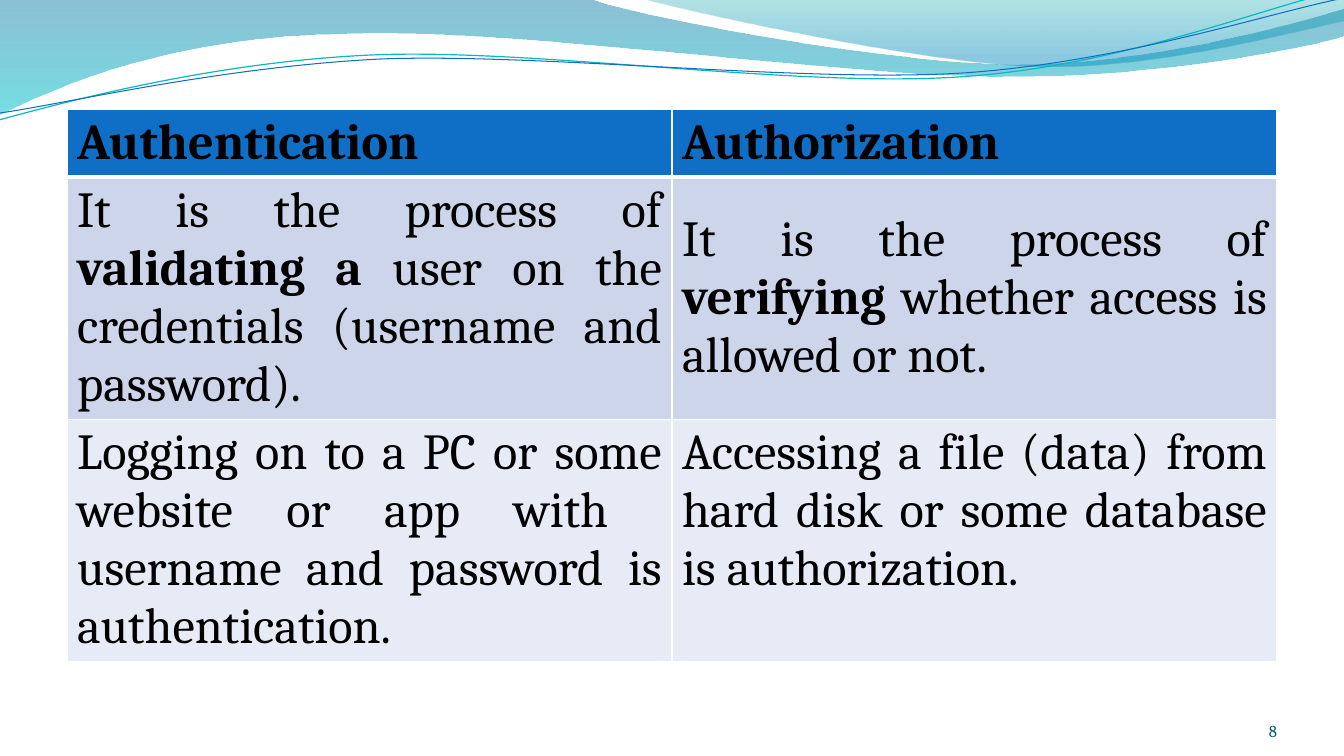
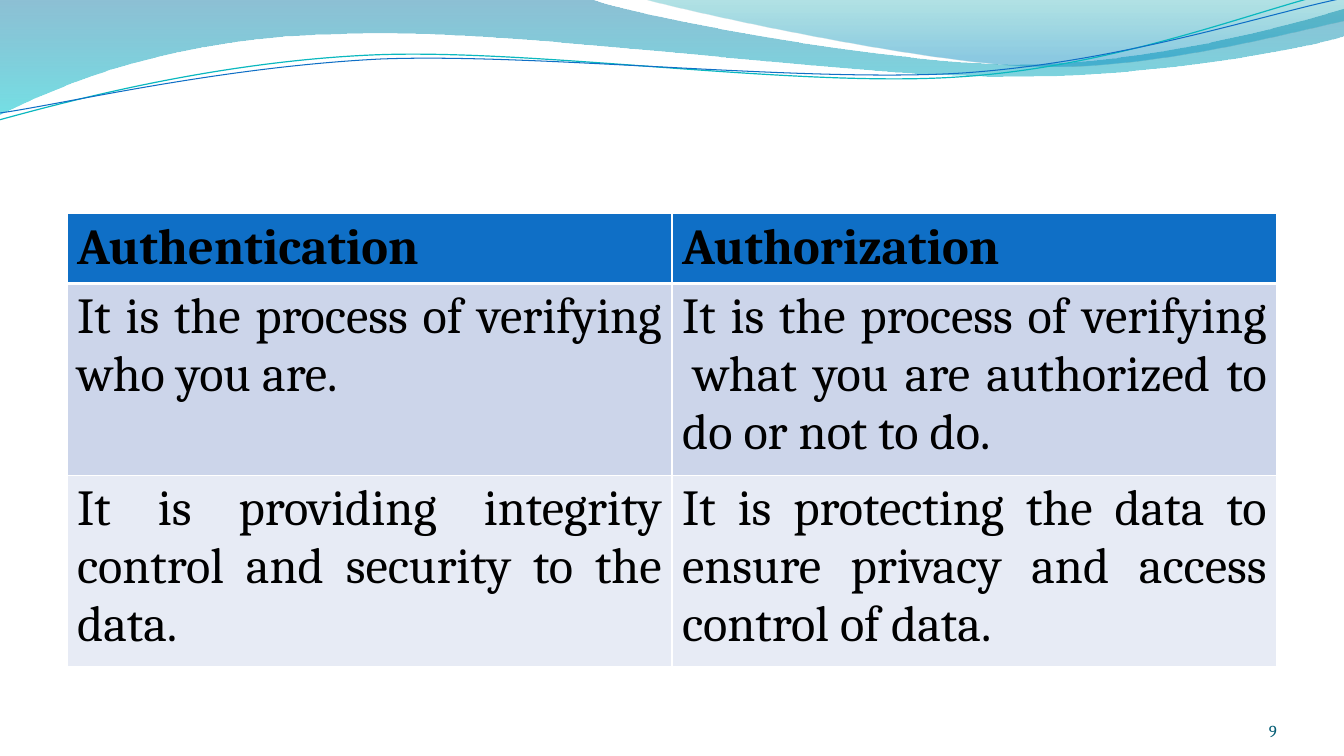
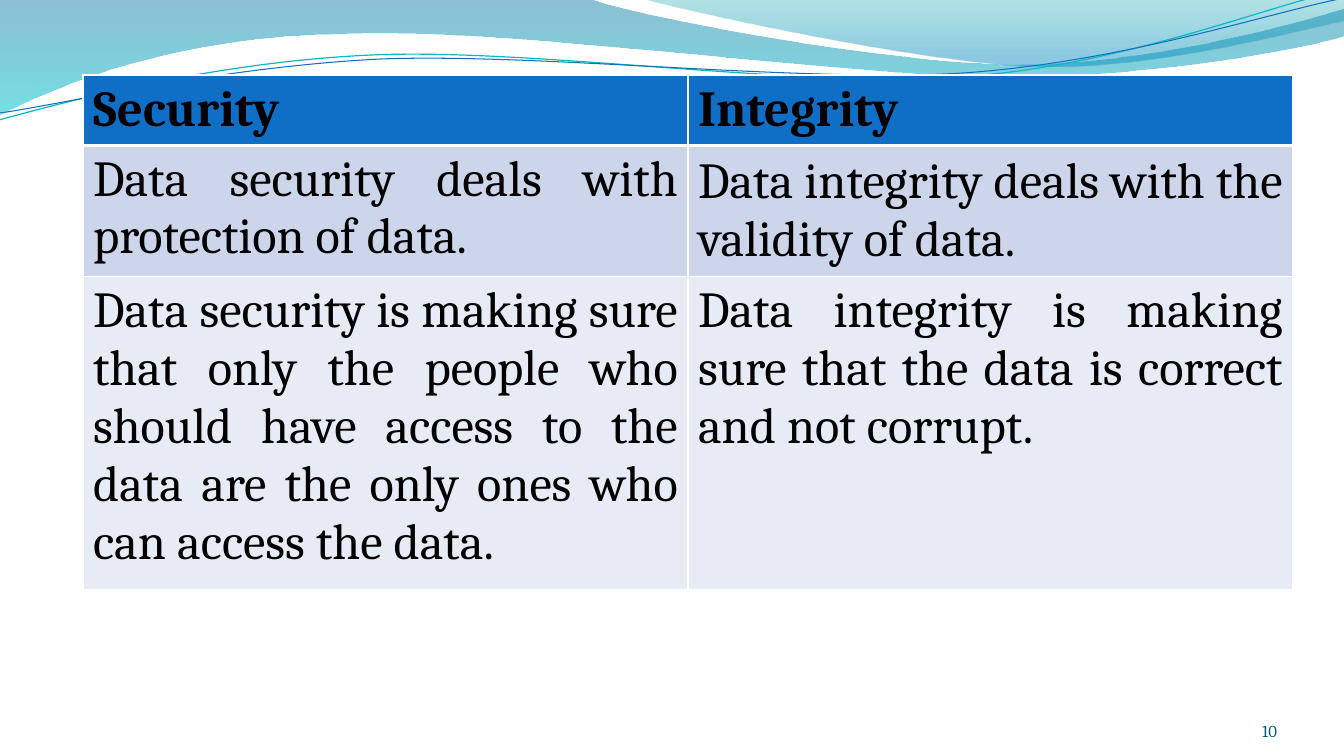
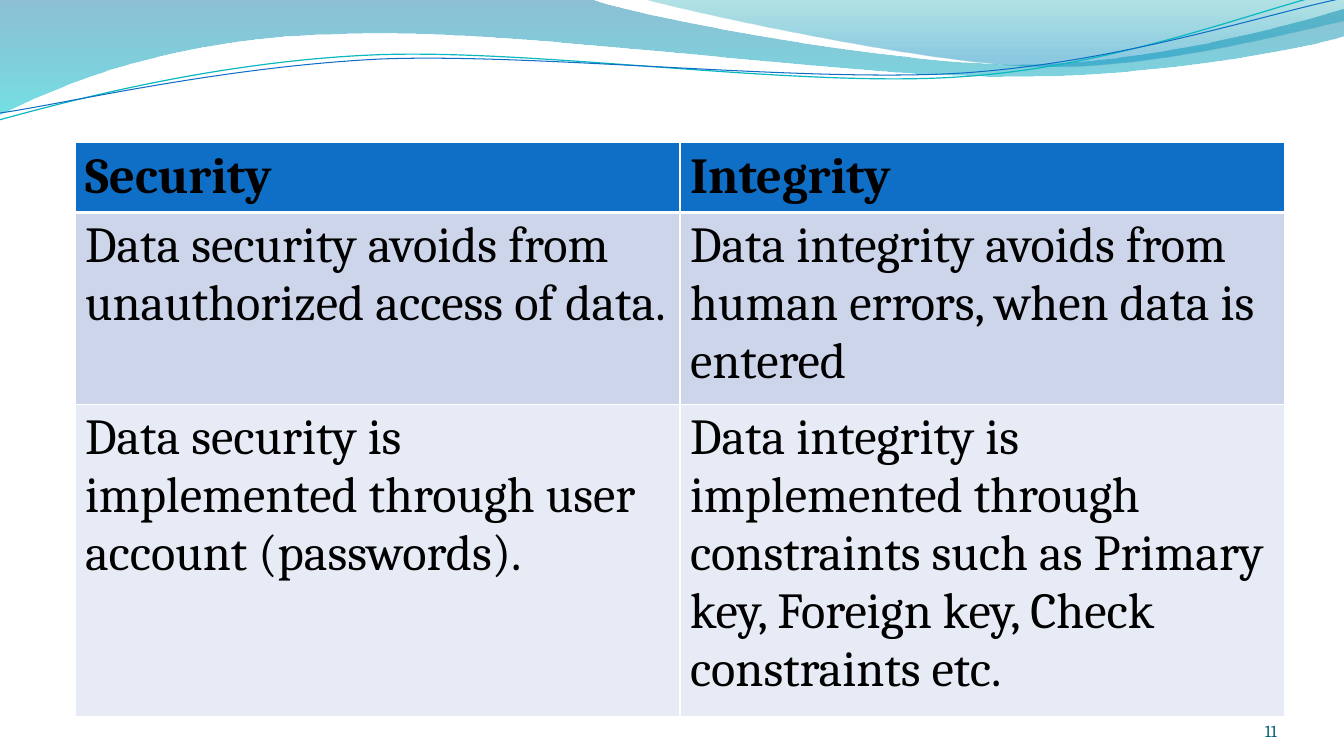
from lxml import etree
from pptx import Presentation
from pptx.dml.color import RGBColor
from pptx.enum.text import MSO_ANCHOR, PP_ALIGN
from pptx.oxml.ns import qn
from pptx.util import Pt

TOP, MIDDLE, BOTTOM = MSO_ANCHOR.TOP, MSO_ANCHOR.MIDDLE, MSO_ANCHOR.BOTTOM
LEFT, RIGHT, JUSTIFY = PP_ALIGN.LEFT, PP_ALIGN.RIGHT, PP_ALIGN.JUSTIFY

PIXEL = 914400 / 100.8

THEME = {
    "header_fill": "0F6FC6",
    "band_fills": ("CCD5EA", "E7EBF5"),
    "border": "FFFFFF",
    "header_border_widths": {"L": 1, "R": 1, "T": 1, "B": 3},
    "text": {"name": "Cambria", "size": Pt(36), "color": "000000"},
    "number": {"name": "Cambria", "size": Pt(12), "color": "045D75"},
}

# Wave outlines: a start point, then lines (one point) and curves (three points)
FILLED_WAVES = [
    {"start": (-1, 0),
     "segments": [[(592, 0)],
                  [(639, 17), (891, 64), (1019, 64)],
                  [(1146, 64), (1287, 26), (1344, 9)],
                  [(1345, 36)],
                  [(1321, 44), (1168, 77), (1002, 76)],
                  [(836, 76), (513, 28), (346, 34)],
                  [(173, 36), (61, 84), (-1, 114)]],
     "stops": [(0, "0074A1", 45), (1, "00C6CF", 55)]},
    {"start": (644, 0),
     "segments": [[(684, 11), (916, 62), (1033, 66)],
                  [(1149, 70), (1292, 32), (1344, 21)],
                  [(1344, 0)]],
     "stops": [(0, "00A1A9", 30), (0.8, "008BBF", 45)]},
]
LINE_WAVES = [
    {"start": (-1, 120),
     "segments": [[(65, 102), (213, 62), (372, 55)],
                  [(531, 48), (795, 88), (958, 77)],
                  [(1119, 67), (1261, 8), (1342, -10)]],
     "line": ("0AB8BF", 0.85)},
    {"start": (0, 113),
     "segments": [[(64, 104), (220, 67), (381, 59)],
                  [(541, 53), (802, 83), (963, 73)],
                  [(1123, 62), (1265, 14), (1344, -2)]],
     "line": ("0F6FC6", 0.75)},
]

# Tables: double asterisks enclose bold words; rows grow with their text
COLUMN_WIDTH = 605
ROW_HEIGHT = 41
TABLES = [
    {"number": 8, "at": (67, 109), "height": 575, "align": JUSTIFY,
     "middle_cells": [(1, 1)],
     "rows": [
         ("**Authentication**", "**Authorization**"),
         ("It is the process of **validating a** user on the credentials "
          "(username and password).",
          "It is the process of **verifying **whether access is allowed or not."),
         ("Logging on to a PC or some website or app with  username and "
          "password is authentication.",
          "Accessing a file (data) from hard disk or some database is "
          "authorization.")]},
    {"number": 9, "at": (67, 213), "height": 514, "align": JUSTIFY,
     "middle_cells": [],
     "rows": [
         ("**Authentication**", "**Authorization**"),
         ("It is the process of verifying who you are.",
          "It is the process of verifying \u00a0what you are authorized to do "
          "or not to do."),
         ("It is providing integrity control and security to the data.",
          "It is protecting the data to ensure privacy and access control of "
          "data.")]},
    {"number": 10, "at": (83, 75), "height": 514, "align": JUSTIFY,
     "middle_cells": [(1, 1)],
     "rows": [
         ("**Security**", "**Integrity**"),
         ("Data security deals with protection of data.",
          "Data integrity deals with the validity of data."),
         ("Data security is making sure that only the people who should have "
          "access to the data are the only ones who can access the data.",
          "Data integrity is making sure that the data is correct and not "
          "corrupt.")]},
    {"number": 11, "at": (75, 142), "height": 575, "align": LEFT,
     "middle_cells": [],
     "rows": [
         ("**Security**", "**Integrity**"),
         ("Data security avoids from unauthorized access of data.",
          "Data integrity avoids from human errors, when data is entered"),
         ("Data security is implemented through user account (passwords).",
          "Data integrity is implemented through constraints such as Primary "
          "key, Foreign key, Check constraints etc.")]},
]


def px(pixels):
    return round(pixels * PIXEL)


def write_text(paragraph, text, style, align):
    """Write text, with bold between double asterisks."""
    paragraph.alignment = align
    for index, piece in enumerate(text.split("**")):
        if not piece:
            continue
        run = paragraph.add_run()
        run.text = piece
        values = {"name": style["name"], "size": style["size"], "bold": index % 2 == 1}
        for name, value in values.items():
            setattr(run.font, name, value)
        run.font.color.rgb = RGBColor.from_string(style["color"])


presentation = Presentation()
presentation.slide_width, presentation.slide_height = px(1344), px(756)
layout = presentation.slide_layouts[6]
slides = [presentation.slides.add_slide(layout) for table in TABLES]

# Shared waves: drawn once, then moved to the layout
for wave in FILLED_WAVES + LINE_WAVES:
    builder = slides[0].shapes.build_freeform(*wave["start"], scale=PIXEL)
    points = [point for segment in wave["segments"] for point in segment]
    builder.add_line_segments(points, close="stops" in wave)
    shape = builder.convert_to_shape()
    shape.shadow.inherit = False

    # Each three-point segment becomes one Bezier curve
    line_elements = iter(list(shape.element.iter(qn("a:lnTo"))))
    for segment in wave["segments"]:
        first, *rest = [next(line_elements) for point in segment]
        if rest:
            first.tag = qn("a:cubicBezTo")
            for line_element in rest:
                first.append(line_element[0])
                line_element.getparent().remove(line_element)

    if "stops" in wave:
        shape.line.fill.background()
        shape.fill.gradient()
        shape.fill.gradient_angle = 270
        for stop, (position, color, _) in zip(shape.fill.gradient_stops, wave["stops"]):
            stop.position = position
            stop.color.rgb = RGBColor.from_string(color)
        gradient_colors = shape.element.spPr.iter(qn("a:srgbClr"))
        for color_element, (_, _, opacity) in zip(gradient_colors, wave["stops"]):
            etree.SubElement(color_element, qn("a:alpha"), val=str(opacity * 1000))
    else:
        color, width = wave["line"]
        shape.fill.background()
        shape.line.color.rgb = RGBColor.from_string(color)
        shape.line.width = Pt(width)
    layout.shapes.element.append(shape.element)

for slide, content in zip(slides, TABLES):
    # Comparison table
    left, top = content["at"]
    frame = slide.shapes.add_table(len(content["rows"]), 2, px(left), px(top),
                                   px(2 * COLUMN_WIDTH), px(content["height"]))
    table = frame.table
    for column in table.columns:
        column.width = px(COLUMN_WIDTH)
    for row_index, texts in enumerate(content["rows"]):
        table.rows[row_index].height = px(ROW_HEIGHT)
        is_header = row_index == 0
        fill = THEME["header_fill"] if is_header else THEME["band_fills"][row_index - 1]
        for column_index, text in enumerate(texts):
            cell = table.cell(row_index, column_index)
            is_middle = is_header or (row_index, column_index) in content["middle_cells"]
            cell.vertical_anchor = MIDDLE if is_middle else TOP
            write_text(cell.text_frame.paragraphs[0], text, THEME["text"],
                       LEFT if is_header else content["align"])
            # Header borders, thicker below
            if is_header:
                properties = cell._tc.get_or_add_tcPr()
                for side, width in THEME["header_border_widths"].items():
                    border = etree.SubElement(properties, qn("a:ln" + side),
                                              w=str(Pt(width)))
                    solid = etree.SubElement(border, qn("a:solidFill"))
                    etree.SubElement(solid, qn("a:srgbClr"), val=THEME["border"])
            cell.fill.solid()
            cell.fill.fore_color.rgb = RGBColor.from_string(fill)
    frame.height = px(content["height"])

    # Slide number
    number_frame = slide.shapes.add_textbox(px(1165), px(701), px(112), px(40)).text_frame
    frame_values = {"margin_left": 0, "margin_top": 0, "margin_right": 0,
                    "margin_bottom": 0, "word_wrap": True, "vertical_anchor": BOTTOM}
    for name, value in frame_values.items():
        setattr(number_frame, name, value)
    write_text(number_frame.paragraphs[0], str(content["number"]), THEME["number"], RIGHT)

presentation.save("out.pptx")
